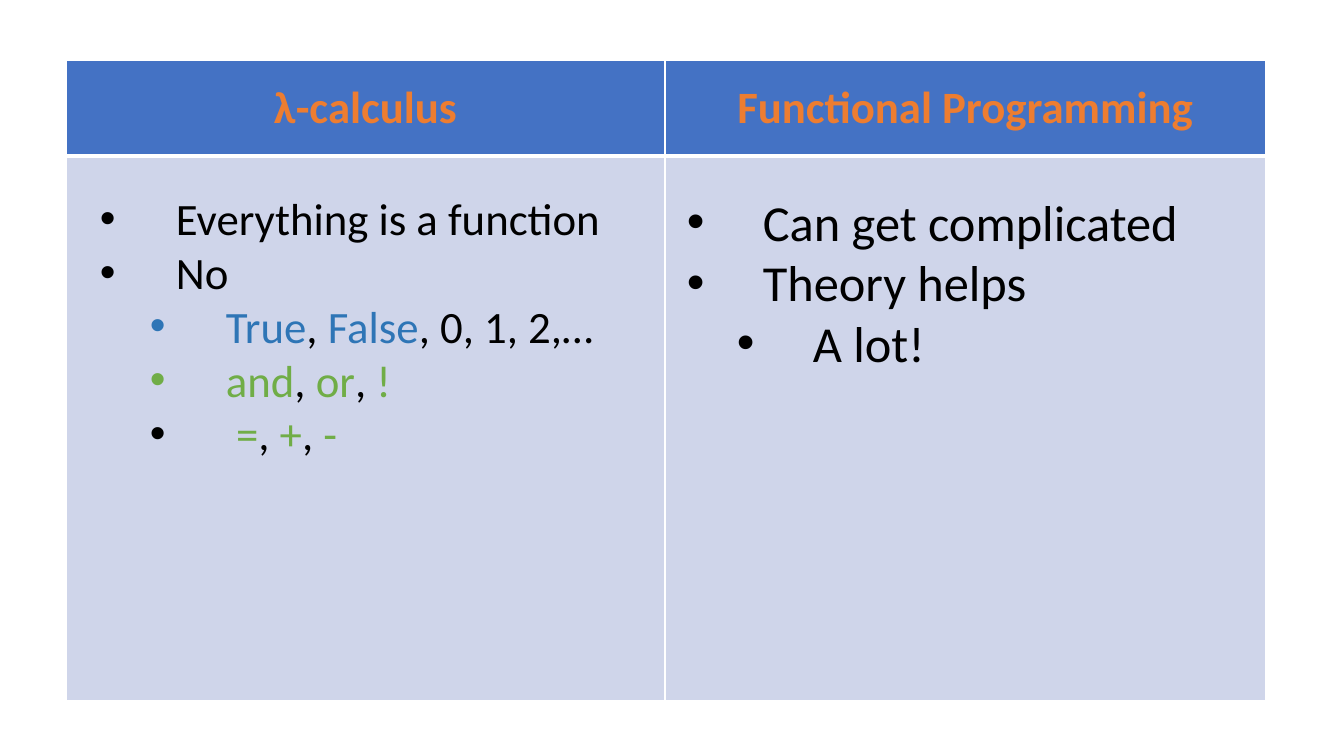
from lxml.etree import SubElement
from pptx import Presentation
from pptx.dml.color import RGBColor
from pptx.enum.text import MSO_ANCHOR, MSO_AUTO_SIZE, PP_ALIGN
from pptx.oxml.ns import qn
from pptx.util import Emu, Pt

BLACK, WHITE, ORANGE = "000000", "FFFFFF", "ED7D31"
BLUE, GREEN = "2E75B6", "70AD47"
HEADER_FILL, BODY_FILL = "4472C4", "CFD5EA"

HEADINGS = ["λ-calculus", "Functional Programming"]
COMMA = (", ", BLACK)
LISTS = [
    {"box": (90, 186, 524, 336), "size": 32, "items": [
        (0, [("Everything is a function", BLACK)]),
        (0, [("No", BLACK)]),
        (1, [("True", BLUE), COMMA, ("False", BLUE), (", 0, 1, 2,…", BLACK)]),
        (1, [("and", GREEN), COMMA, ("or", GREEN), COMMA, ("!", GREEN)]),
        (1, [(" ", BLACK), ("=", GREEN), COMMA, ("+", GREEN), COMMA, ("-", GREEN)]),
    ]},
    {"box": (677, 186, 524, 194), "size": 36, "items": [
        (0, [("Can get complicated", BLACK)]),
        (0, [("Theory helps", BLACK)]),
        (1, [("A lot!", BLACK)]),
    ]},
]
SLIDE_SIZE = (1344, 756)
TABLE_ORIGIN = (66, 60)
COLUMN_WIDTHS = [599, 601]
ROW_HEIGHTS = [96, 545]
HANG, LEVEL_STEP = 76, 50


def px(length):
    return Emu(round(length * 914400 / 100.8))


def color(code):
    return RGBColor.from_string(code)


def add_text(para, text, size=32, ink=BLACK, bold=False):
    span = para.add_run()
    span.text = text
    span.font.name = "Calibri"
    span.font.size = Pt(size)
    span.font.bold = bold
    span.font.color.rgb = color(ink)


def set_bullet(para, level):
    para.level = level
    properties = para._p.get_or_add_pPr()
    properties.set("marL", str(px(HANG + level * LEVEL_STEP)))
    properties.set("indent", str(-px(HANG)))
    SubElement(properties, qn("a:buFont"), typeface="Arial")
    SubElement(properties, qn("a:buChar"), char="•")


def style_cell(cell, fill, top, bottom):
    properties = cell._tc.get_or_add_tcPr()
    for side, width in (("L", 1), ("R", 1), ("T", top), ("B", bottom)):
        line = SubElement(properties, qn(f"a:ln{side}"), w=str(Pt(width)))
        solid = SubElement(line, qn("a:solidFill"))
        SubElement(solid, qn("a:srgbClr"), val=WHITE)
    cell.fill.solid()
    cell.fill.fore_color.rgb = color(fill)


def add_comparison_table(page):
    size = (sum(COLUMN_WIDTHS), sum(ROW_HEIGHTS))
    frame = page.shapes.add_table(2, 2, *map(px, TABLE_ORIGIN + size))
    table = frame.table
    for row, height in zip(table.rows, ROW_HEIGHTS):
        row.height = px(height)
    for index, (heading, width) in enumerate(zip(HEADINGS, COLUMN_WIDTHS)):
        table.columns[index].width = px(width)
        header = table.cell(0, index)
        style_cell(header, HEADER_FILL, top=1, bottom=3)
        style_cell(table.cell(1, index), BODY_FILL, top=3, bottom=1)
        header.vertical_anchor = MSO_ANCHOR.MIDDLE
        para = header.text_frame.paragraphs[0]
        para.alignment = PP_ALIGN.CENTER
        add_text(para, heading, ink=ORANGE, bold=True)


def add_bullet_list(page, content):
    box = page.shapes.add_textbox(*map(px, content["box"]))
    frame = box.text_frame
    frame.word_wrap = True
    frame.auto_size = MSO_AUTO_SIZE.SHAPE_TO_FIT_TEXT
    for index, (level, parts) in enumerate(content["items"]):
        para = frame.add_paragraph() if index else frame.paragraphs[0]
        set_bullet(para, level)
        for text, ink in parts:
            add_text(para, text, size=content["size"], ink=ink)


def main():
    deck = Presentation()
    deck.slide_width, deck.slide_height = map(px, SLIDE_SIZE)
    page = deck.slides.add_slide(deck.slide_layouts[6])
    add_comparison_table(page)
    for content in LISTS:
        add_bullet_list(page, content)
    deck.save("out.pptx")


if __name__ == "__main__":
    main()
